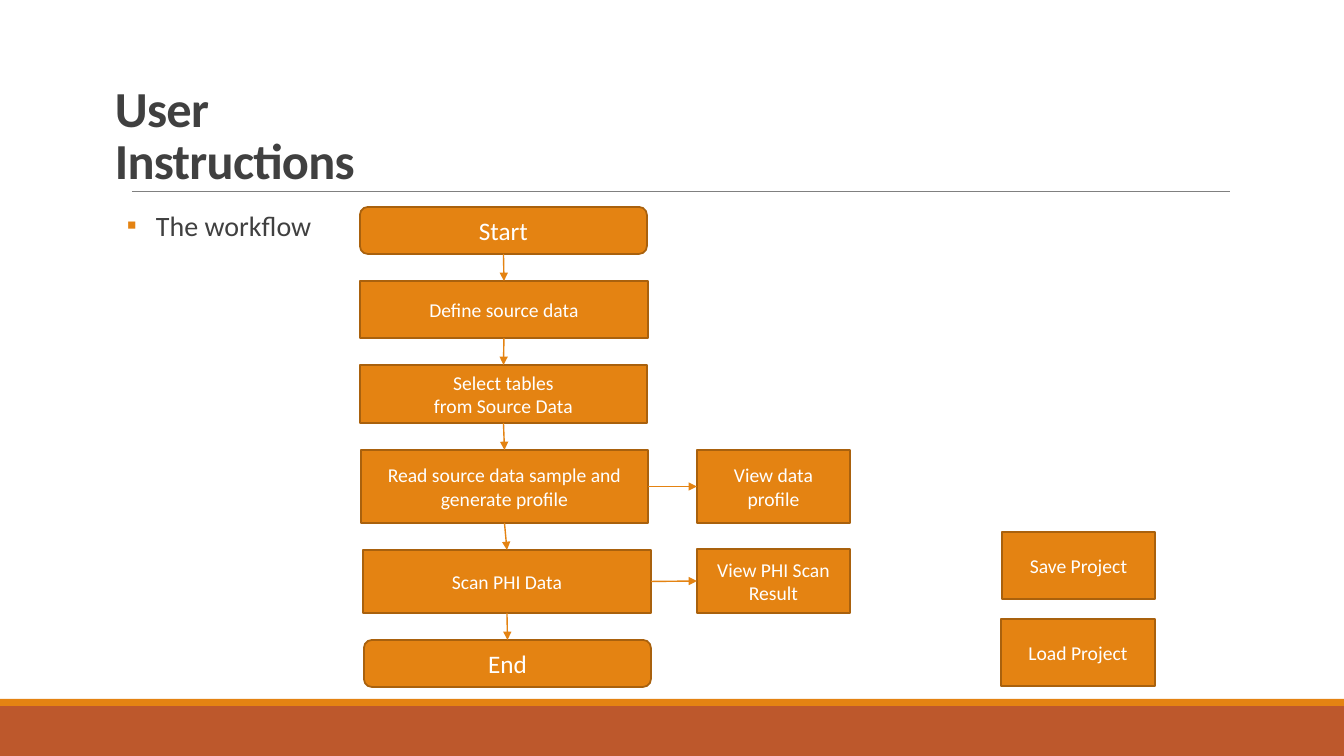
from pptx import Presentation
from pptx.dml.color import RGBColor
from pptx.enum.shapes import MSO_CONNECTOR as CONN, MSO_SHAPE as SHAPE
from pptx.enum.text import MSO_ANCHOR as ANCHOR, PP_ALIGN as ALIGN
from pptx.oxml import parse_xml
from pptx.oxml.ns import nsdecls
from pptx.util import Pt

PX = 914400 / 100.8
FONT = "Calibri"
ORANGE = RGBColor(0xE4, 0x83, 0x12)
DARK_ORANGE = RGBColor(0xA9, 0x61, 0x0D)
RUST = RGBColor(0xBD, 0x58, 0x2C)
GRAY = RGBColor(0x80, 0x80, 0x80)
INK = RGBColor(0x40, 0x40, 0x40)
WHITE = RGBColor(0xFF, 0xFF, 0xFF)
BOTTOM, RIGHT, TOP, LEFT = 2, 3, 0, 1

# Step, shape, box (left, top, width, height) and text size
STEPS = [
    ("Start", SHAPE.ROUNDED_RECTANGLE, (360, 207, 287, 47), 18),
    ("Define source data", SHAPE.RECTANGLE, (360, 281, 288, 57), 14),
    ("Select tables\vfrom Source Data", SHAPE.RECTANGLE, (360, 365, 287, 58), 14),
    ("Read source data sample and generate profile", SHAPE.RECTANGLE,
     (361, 450, 287, 73), 14),
    ("Scan PHI Data", SHAPE.RECTANGLE, (363, 550, 288, 63), 14),
    ("End", SHAPE.ROUNDED_RECTANGLE, (364, 640, 287, 47), 18),
]
# Views opened from a step, by step number
VIEWS = [
    (3, "View data profile", (697, 450, 153, 73)),
    (4, "View PHI Scan Result", (697, 549, 153, 64)),
]
PROJECT_ACTIONS = [
    ("Save Project", (1002, 532, 153, 67)),
    ("Load Project", (1001, 619, 154, 67)),
]


def emu(*lengths):
    return [round(n * PX) for n in lengths]


def add_block(s, kind, box, fill):
    sp = s.shapes.add_shape(kind, *emu(*box))
    sp.shadow.inherit = False
    sp.fill.solid()
    sp.fill.fore_color.rgb = fill
    sp.line.fill.background()
    return sp


def add_line(s, x1, y1, x2, y2, color, width):
    line = s.shapes.add_connector(CONN.STRAIGHT, *emu(x1, y1, x2, y2))
    line.line.color.rgb = color
    line.line.width = Pt(width)
    line._element.spPr.append(parse_xml(f"<a:effectLst {nsdecls('a')}/>"))
    return line


def write(tf, text, size, color, bold=False):
    tf.word_wrap = True
    tf.vertical_anchor = ANCHOR.MIDDLE
    tf.text = text
    p = tf.paragraphs[0]
    for r in p.runs:
        r.font.name = FONT
        r.font.size = Pt(size)
        r.font.bold = bold
        r.font.color.rgb = color
    return p


def add_node(s, text, kind, box, size=14):
    sp = add_block(s, kind, box, ORANGE)
    sp.line.color.rgb = DARK_ORANGE
    sp.line.width = Pt(1.25)
    write(sp.text_frame, text, size, WHITE).alignment = ALIGN.CENTER
    return sp


def add_arrow(s, start, start_side, end, end_side):
    arrow = add_line(s, 0, 0, 0, 0, ORANGE, 1)
    arrow.begin_connect(start, start_side)
    arrow.end_connect(end, end_side)
    arrow.line._get_or_add_ln().append(
        parse_xml(f'<a:tailEnd {nsdecls("a")} type="triangle"/>'))


def add_frame(s, width, height):
    add_block(s, SHAPE.RECTANGLE, (0, height - 50, width, 50), RUST)
    add_block(s, SHAPE.RECTANGLE, (0, height - 57, width, 7), ORANGE)
    add_line(s, 132, 191, 1230, 191, GRAY, 0.5)


def add_title(s, text, box):
    tf = s.shapes.add_textbox(*emu(*box)).text_frame
    p = write(tf, text, 36, INK, bold=True)
    p.line_spacing = 0.85
    p.runs[0].font._element.set("spc", "-50")


def add_bullet(s, text, box):
    tf = s.shapes.add_textbox(*emu(*box)).text_frame
    tf.margin_left = tf.margin_right = 0
    p = write(tf, text, 20, INK)
    p.line_spacing = 0.9
    indent, = emu(29)
    pPr = p._p.get_or_add_pPr()
    pPr.set("marL", str(indent))
    pPr.set("indent", str(-indent))
    ns = nsdecls("a")
    pPr.append(parse_xml(f'<a:buClr {ns}><a:srgbClr val="{ORANGE}"/></a:buClr>'))
    pPr.append(parse_xml(f'<a:buFont {ns} typeface="{FONT}"/>'))
    pPr.append(parse_xml(f'<a:buChar {ns} char="▪"/>'))


def add_workflow(s):
    # Main column
    steps = [add_node(s, *step) for step in STEPS]
    for start, end in zip(steps, steps[1:]):
        add_arrow(s, start, BOTTOM, end, TOP)
    # Side views
    for number, text, box in VIEWS:
        view = add_node(s, text, SHAPE.RECTANGLE, box)
        add_arrow(s, steps[number], RIGHT, view, LEFT)
    # Project actions
    for text, box in PROJECT_ACTIONS:
        add_node(s, text, SHAPE.RECTANGLE, box)


def main():
    prs = Presentation()
    prs.slide_width, prs.slide_height = emu(1344, 756)
    s = prs.slides.add_slide(prs.slide_layouts[6])
    add_frame(s, 1344, 756)
    add_title(s, "User Instructions", (105, 71, 305, 134))
    add_bullet(s, "The workflow", (127, 207, 220, 40))
    add_workflow(s)
    prs.save("out.pptx")


if __name__ == "__main__":
    main()
